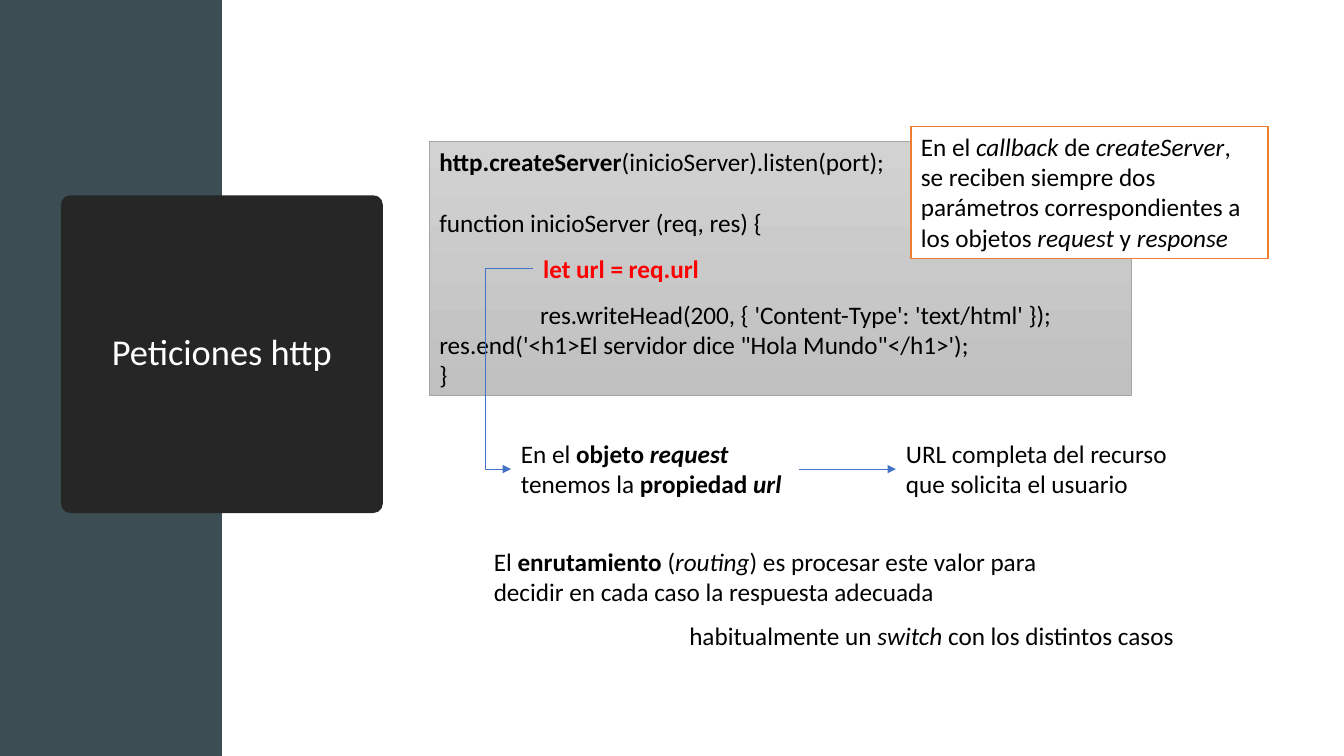
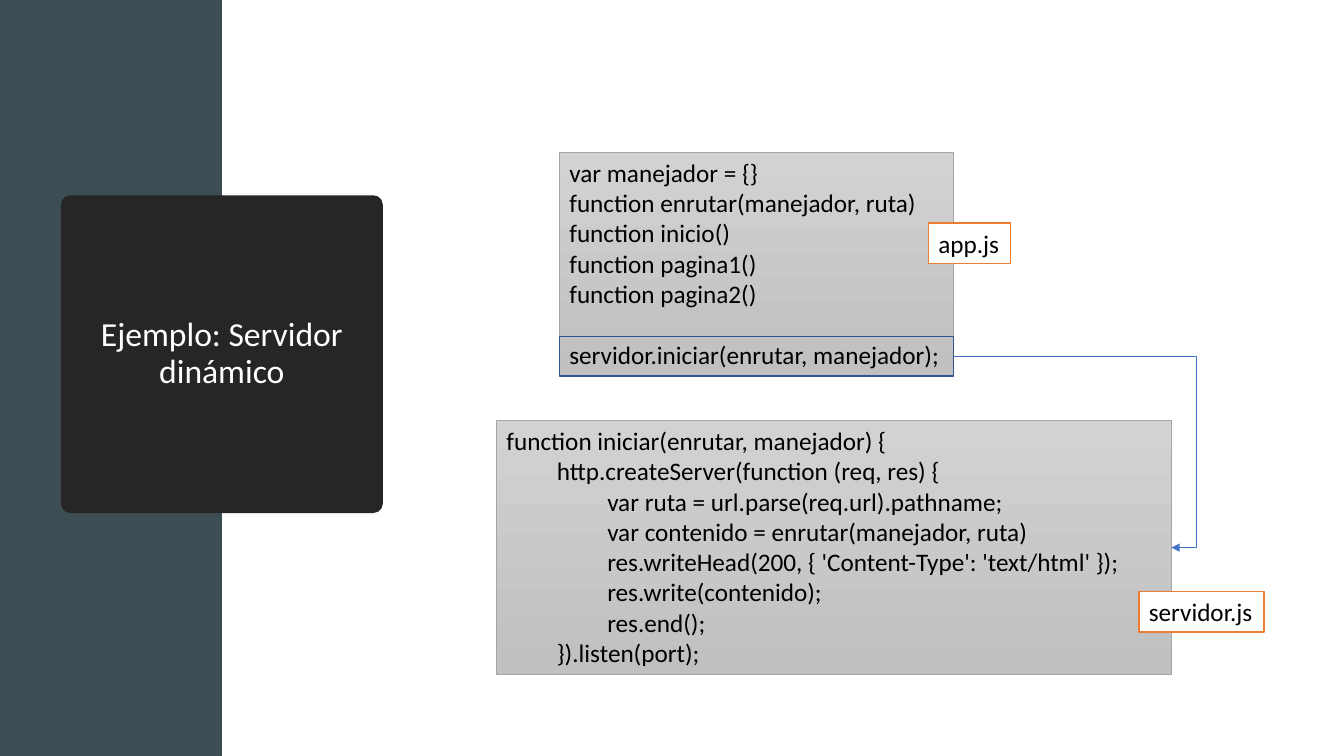
from dataclasses import dataclass
from typing import Any, Optional

from lxml import etree
from pptx import Presentation, util as u
from pptx.dml import color
from pptx.enum import shapes, text
from pptx.oxml import ns


@dataclass(frozen=True)
class Theme:
    font: str = "Calibri"
    body_size: float = 18
    band: str = "3C4E53"
    title_fill: str = "262626"
    title_text: str = "FFFFFF"
    ink: str = "000000"
    alert: str = "FF0000"
    code_top: str = "D2D2D2"
    code_bottom: str = "C0C0C0"
    code_line: str = "A5A5A5"
    note_fill: str = "FFFFFF"
    note_line: str = "ED7D31"
    highlight_line: str = "325491"
    arrow: str = "4472C4"


THEME = Theme()
LINE_HEIGHT = 22
LEFT, RIGHT = 1, 3


@dataclass(frozen=True)
class Area:
    left: float
    top: float
    width: float
    height: float

    def lengths(self) -> list[u.Pt]:
        return [u.Pt(value) for value in (self.left, self.top, self.width, self.height)]


@dataclass(frozen=True)
class Run:
    text: str
    bold: bool = False
    italic: bool = False
    ink: str = THEME.ink


@dataclass(frozen=True)
class Line:
    runs: tuple[Run, ...]
    indent: float = 0
    blank_lines: int = 0


@dataclass(frozen=True)
class Box:
    area: Area
    lines: tuple[Line, ...] = ()
    style: str = "plain"
    wrap: bool = True


def line(content: str, indent: float = 0, blank_lines: int = 0) -> Line:
    return Line((Run(content),), indent, blank_lines)


def apply_format(target: Any, values: dict[str, Any]) -> None:
    for name, value in values.items():
        setattr(target, name, value)


def rgb(value: str) -> color.RGBColor:
    return color.RGBColor.from_string(value)


def paint(shape: Any, fill: Optional[str], outline: Optional[str], width: float = 1) -> None:
    shape.shadow.inherit = False
    if fill:
        shape.fill.solid()
        shape.fill.fore_color.rgb = rgb(fill)
    else:
        shape.fill.background()
    if outline:
        shape.line.color.rgb = rgb(outline)
        shape.line.width = u.Pt(width)
    else:
        shape.line.fill.background()


def paint_code(shape: Any) -> None:
    paint(shape, THEME.code_bottom, THEME.code_line, 0.5)
    shape.fill.gradient()
    shape.fill.gradient_angle = 270
    for stop, shade in zip(shape.fill.gradient_stops, (THEME.code_top, THEME.code_bottom)):
        stop.color.rgb = rgb(shade)


def write_run(paragraph: Any, run: Run, size: float) -> None:
    text_run = paragraph.add_run()
    text_run.text = run.text
    apply_format(text_run.font, {
        "name": THEME.font, "size": u.Pt(size), "bold": run.bold, "italic": run.italic,
    })
    text_run.font.color.rgb = rgb(run.ink)


def draw_box(slide: Any, box: Box) -> Any:
    if box.style == "plain":
        shape = slide.shapes.add_textbox(*box.area.lengths())
    else:
        shape = slide.shapes.add_shape(shapes.MSO_SHAPE.RECTANGLE, *box.area.lengths())
        if box.style == "code":
            paint_code(shape)
        elif box.style == "note":
            paint(shape, THEME.note_fill, THEME.note_line)
        else:
            paint(shape, None, THEME.highlight_line)
    frame = shape.text_frame
    apply_format(frame, {"word_wrap": box.wrap, "vertical_anchor": text.MSO_ANCHOR.TOP})
    for index, entry in enumerate(box.lines):
        paragraph = frame.add_paragraph() if index else frame.paragraphs[0]
        paragraph.alignment = text.PP_ALIGN.LEFT
        if entry.indent:
            properties = paragraph._p.get_or_add_pPr()
            apply_indent = {"marL": str(int(u.Pt(entry.indent))), "indent": "0"}
            for name, value in apply_indent.items():
                properties.set(name, value)
        if entry.blank_lines:
            paragraph.space_before = u.Pt(entry.blank_lines * LINE_HEIGHT)
        for run in entry.runs:
            write_run(paragraph, run, THEME.body_size)
    return shape


def draw_arrow(slide: Any, start: Any, start_side: int, end: Any, end_side: int,
               lane: Optional[float] = None) -> None:
    kind = shapes.MSO_CONNECTOR.STRAIGHT if lane is None else shapes.MSO_CONNECTOR.ELBOW
    connector = slide.shapes.add_connector(kind, 0, 0, 0, 0)
    connector.begin_connect(start, start_side)
    connector.end_connect(end, end_side)
    connector.line.color.rgb = rgb(THEME.arrow)
    connector.line.width = u.Pt(0.5)
    properties = connector._element.spPr
    etree.SubElement(properties.find(ns.qn("a:ln")), ns.qn("a:tailEnd"), type="triangle")
    etree.SubElement(properties, ns.qn("a:effectLst"))
    if lane is not None:
        ratio = (u.Pt(lane) - connector.begin_x) / (connector.end_x - connector.begin_x)
        geometry = properties.find(ns.qn("a:prstGeom"))
        adjustments = geometry.find(ns.qn("a:avLst"))
        if adjustments is None:
            adjustments = etree.SubElement(geometry, ns.qn("a:avLst"))
        etree.SubElement(adjustments, ns.qn("a:gd"), name="adj1",
                         fmla=f"val {round(ratio * 100000)}")


def add_titled_slide(presentation: Any, title: str, size: float) -> Any:
    slide = presentation.slides.add_slide(presentation.slide_layouts[6])
    band = slide.shapes.add_shape(shapes.MSO_SHAPE.RECTANGLE, *Area(0, 0, 158.5, 540).lengths())
    paint(band, THEME.band, None)
    panel = slide.shapes.add_shape(
        shapes.MSO_SHAPE.ROUNDED_RECTANGLE, *Area(43.5, 139.5, 230, 227).lengths())
    panel.adjustments[0] = 0.03
    paint(panel, THEME.title_fill, None)
    apply_format(panel.text_frame, {
        "word_wrap": True, "vertical_anchor": text.MSO_ANCHOR.MIDDLE,
        "margin_left": u.Pt(14), "margin_right": u.Pt(14),
    })
    paragraph = panel.text_frame.paragraphs[0]
    apply_format(paragraph, {"alignment": text.PP_ALIGN.CENTER, "line_spacing": 0.9})
    write_run(paragraph, Run(title, ink=THEME.title_text), size)
    return slide


def build_requests(presentation: Any) -> None:
    slide = add_titled_slide(presentation, "Peticiones http", 26)
    draw_box(slide, Box(Area(306.7, 100.8, 501.8, 181.5), (
        Line((Run("http.createServer", bold=True), Run("(inicioServer).listen(port);"))),
        line("function inicioServer (req, res) {", blank_lines=1),
        line("res.writeHead(200, { 'Content-Type': 'text/html' });", indent=72, blank_lines=2),
        line("res.end('<h1>El servidor dice \"Hola Mundo\"</h1>');"),
        line("}"),
    ), "code"))
    url_code = draw_box(slide, Box(Area(380.9, 177.1, 126.7, 29), (
        Line((Run("let url = req.url", bold=True, ink=THEME.alert),)),
    ), wrap=False))
    request = draw_box(slide, Box(Area(365, 309.6, 206, 51), (
        Line((Run("En el "), Run("objeto ", bold=True), Run("request ", bold=True, italic=True),
              Run("tenemos la "), Run("propiedad ", bold=True),
              Run("url", bold=True, italic=True))),
    )))
    resource = draw_box(slide, Box(Area(640, 309.6, 218, 51), (
        line("URL completa del recurso que solicita el usuario"),
    )))
    draw_arrow(slide, url_code, LEFT, request, LEFT, lane=347)
    draw_arrow(slide, request, RIGHT, resource, LEFT)
    draw_box(slide, Box(Area(345.6, 386.6, 403, 51), (
        Line((Run("El "), Run("enrutamiento", bold=True), Run(" ("),
              Run("routing", italic=True),
              Run(") es procesar este valor para decidir en cada caso la respuesta adecuada"))),
    )))
    draw_box(slide, Box(Area(650.7, 90.2, 255, 94.5), (
        Line((Run("En el "), Run("callback", italic=True), Run(" de "),
              Run("createServer", italic=True),
              Run(", se reciben siempre dos parámetros correspondientes a los objetos "),
              Run("request", italic=True), Run(" y "), Run("response", italic=True))),
    ), "note"))
    draw_box(slide, Box(Area(485.3, 439.4, 364.3, 29), (
        Line((Run("habitualmente un "), Run("switch", italic=True),
              Run(" con los distintos casos"))),
    )))


def build_dynamic_server(presentation: Any) -> None:
    slide = add_titled_slide(presentation, "Ejemplo: Servidor dinámico", 24)
    server_code = draw_box(slide, Box(Area(354.7, 300.4, 482, 181.5), (
        line("function iniciar(enrutar, manejador) {"),
        line("http.createServer(function (req, res) {", 36),
        *(line(statement, 72) for statement in (
            "var ruta = url.parse(req.url).pathname;",
            "var contenido = enrutar(manejador, ruta)",
            "res.writeHead(200, { 'Content-Type': 'text/html' });",
            "res.write(contenido);",
            "res.end();",
        )),
        line("}).listen(port);", 36),
    ), "code"))
    draw_box(slide, Box(Area(399.6, 108.8, 281.5, 159.7), (
        *(line(statement) for statement in (
            "var manejador = {}",
            "function enrutar(manejador, ruta)",
            "function inicio()",
            "function pagina1()",
            "function pagina2()",
        )),
        line("servidor.iniciar(enrutar, manejador);", blank_lines=1),
    ), "code", wrap=False))
    draw_box(slide, Box(Area(663.2, 159.3, 58.5, 29), (line("app.js"),), "note", wrap=False))
    start_call = draw_box(slide, Box(Area(399.6, 240.5, 281.5, 28), style="highlight"))
    draw_arrow(slide, start_call, RIGHT, server_code, RIGHT, lane=854.6)
    draw_box(slide, Box(Area(813.5, 422.5, 89.5, 29), (line("servidor.js"),), "note", wrap=False))


def main() -> None:
    presentation = Presentation()
    apply_format(presentation, {"slide_width": u.Pt(960), "slide_height": u.Pt(540)})
    build_requests(presentation)
    build_dynamic_server(presentation)
    presentation.save("out.pptx")


if __name__ == "__main__":
    main()
